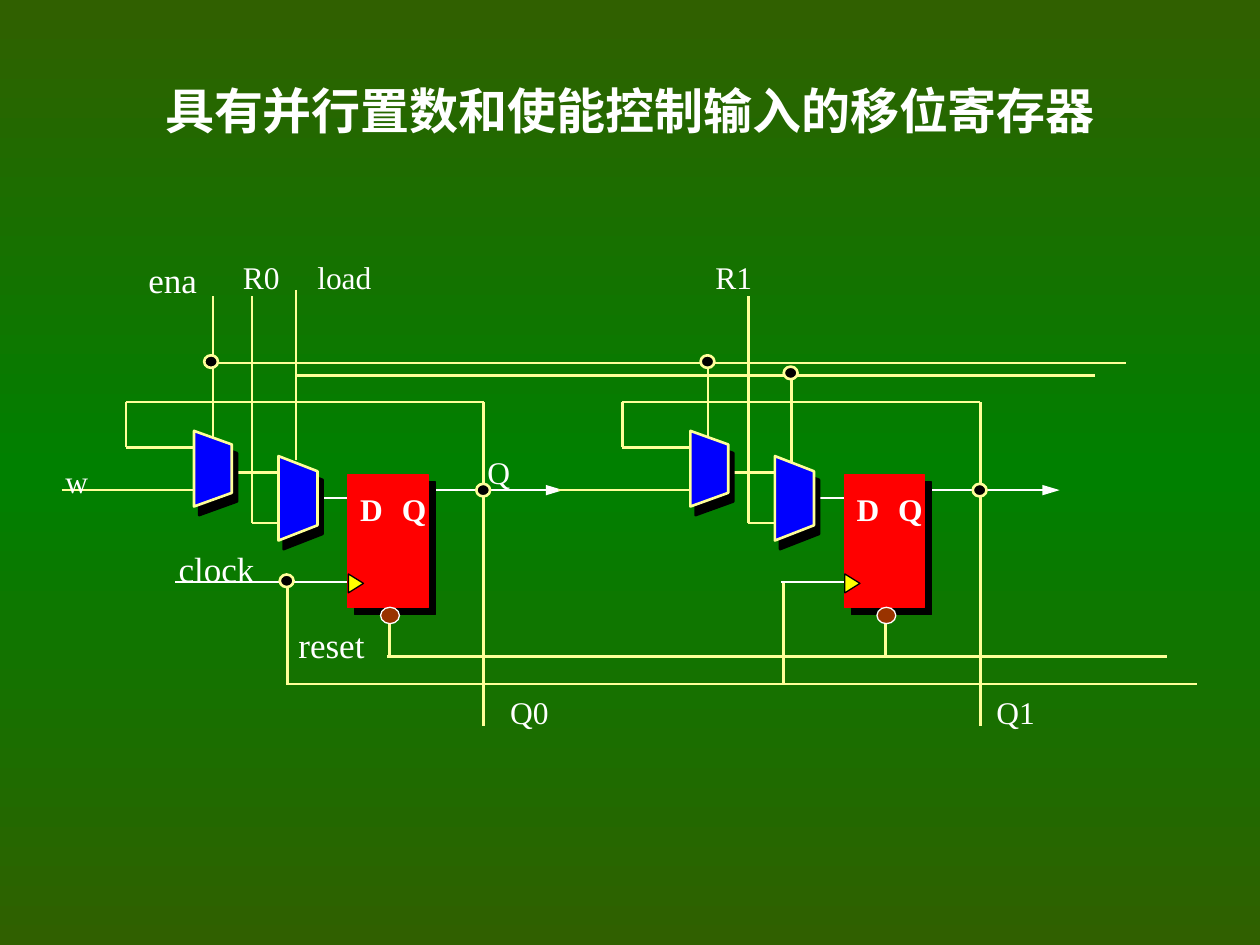
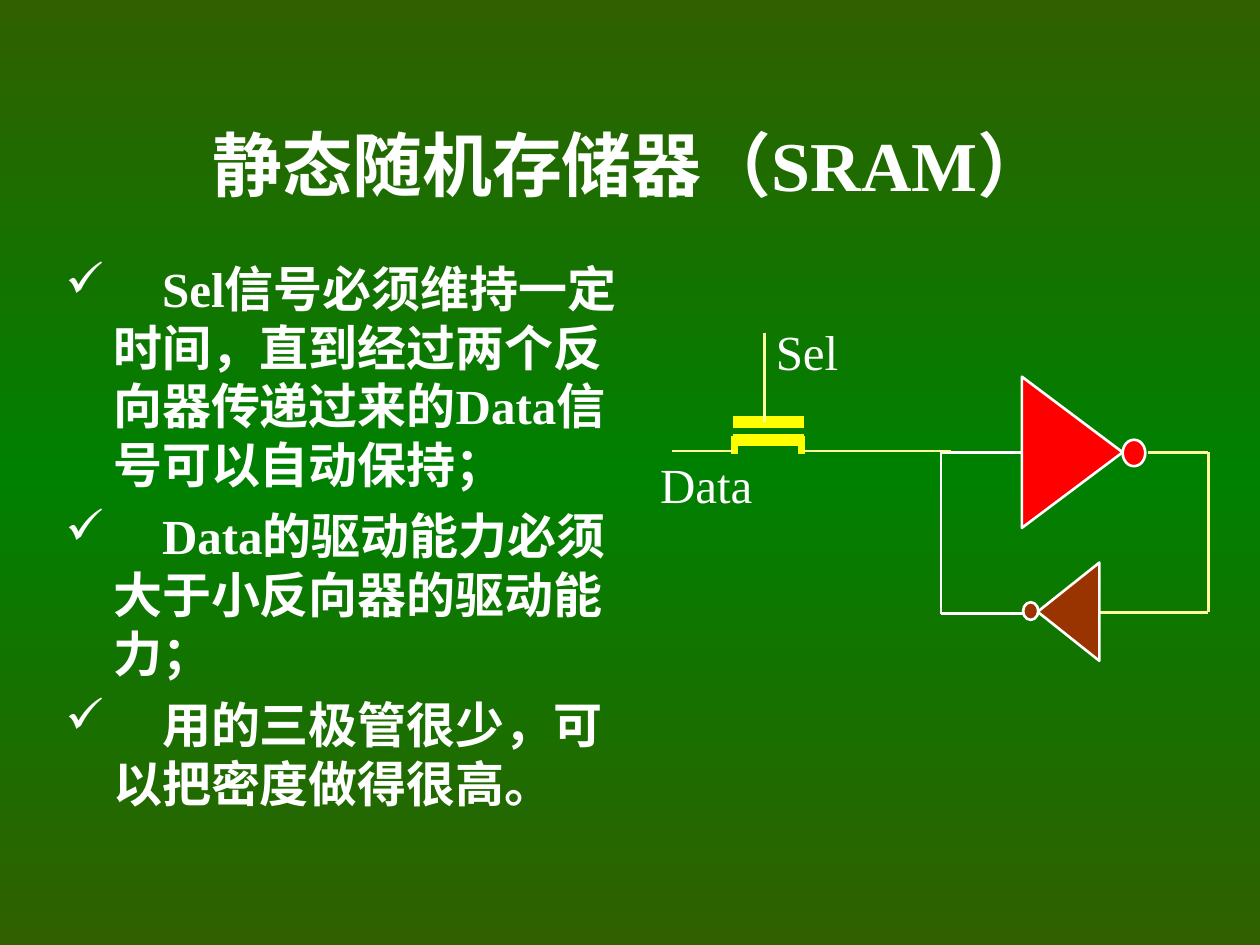
"""Build two slides on shift registers and static memory."""
from copy import deepcopy
from itertools import pairwise
from typing import NamedTuple, Optional

from lxml import etree
from pptx import Presentation
from pptx.dml.color import RGBColor
from pptx.enum.shapes import MSO_CONNECTOR, MSO_SHAPE
from pptx.enum.text import MSO_ANCHOR, PP_ALIGN
from pptx.oxml.ns import qn
from pptx.util import Emu, Inches, Pt

STRAIGHT = MSO_CONNECTOR.STRAIGHT
RECT, OVAL, TRIANGLE = MSO_SHAPE.RECTANGLE, MSO_SHAPE.OVAL, MSO_SHAPE.ISOSCELES_TRIANGLE
LEFT, CENTER = PP_ALIGN.LEFT, PP_ALIGN.CENTER
MIDDLE = MSO_ANCHOR.MIDDLE

OLIVE = RGBColor(0x30, 0x60, 0x00)
GREEN = RGBColor(0x00, 0x80, 0x00)
WHITE = RGBColor(0xFF, 0xFF, 0xFF)
BLACK = RGBColor(0x00, 0x00, 0x00)
RED = RGBColor(0xFF, 0x00, 0x00)
BLUE = RGBColor(0x00, 0x00, 0xFF)
BROWN = RGBColor(0x99, 0x33, 0x00)
YELLOW = RGBColor(0xFF, 0xFF, 0x00)
CREAM = RGBColor(0xFF, 0xFF, 0x99)

FONT = "Times New Roman"
COLS, ROWS = 100, 75
CELL = Inches(0.1)
STAGE_PITCH = 39.4
DOT_W, DOT_H = 1.1, 1


class Label(NamedTuple):
    text: str
    col: float
    row: float
    cols: float = 7
    rows: float = 4
    size: float = 18
    bold: bool = False
    align: PP_ALIGN = LEFT
    shadow: bool = False


class Wire(NamedTuple):
    points: tuple
    color: RGBColor = CREAM
    weight: float = 1.5
    arrow: bool = False


class Box(NamedTuple):
    kind: MSO_SHAPE
    col: float
    row: float
    cols: float
    rows: float
    fill: RGBColor
    line: RGBColor
    weight: float = 1.5
    rotation: float = 0
    shadow_angle: Optional[float] = None


class Mux(NamedTuple):
    col: float
    row: float
    cols: float
    rows: float


BUSES = [
    Wire(((16.9, 23.5), (16.9, 34.7))),
    Wire(((16.9, 28.8), (89.4, 28.8))),
    Wire(((56.2, 28.8), (56.2, 35))),
    Wire(((23.5, 23), (23.5, 36.5))),
    Wire(((23.5, 29.8), (86.9, 29.8))),
    Wire(((62.8, 29.8), (62.8, 37.3))),
    Wire(((30.7, 52.1), (92.6, 52.1))),
    Wire(((22.7, 54.3), (95, 54.3))),
    Wire(((13.9, 46.2), (22.6, 46.2)), WHITE, 1.25),
]
STAGE_WIRES = [
    Wire(((18.4, 37.5), (22.1, 37.5))),
    Wire(((20, 23.5), (20, 41.5), (22.2, 41.5))),
    Wire(((38.4, 57.6), (38.4, 31.9), (10, 31.9), (10, 35.5), (15.4, 35.5))),
    Wire(((4.9, 38.9), (15.4, 38.9))),
    Wire(((30.9, 49.5), (30.9, 52.2))),
    Wire(((22.8, 46.3), (22.8, 54.3))),
    Wire(((25.2, 39.5), (27.7, 39.5)), WHITE, 1.25),
    Wire(((22.6, 46.2), (27.7, 46.2)), WHITE, 1.25),
    Wire(((34.3, 38.9), (44.7, 38.9)), WHITE, 1.25, True),
]
STAGE_MUXES = [Mux(15.4, 34.2, 3, 6), Mux(22.1, 36.2, 3.1, 6.7)]
STAGE_BOXES = [
    Box(RECT, 27.6, 37.7, 6.4, 10.5, RED, RED, 0.75, shadow_angle=45),
    Box(TRIANGLE, 27.5, 45.7, 1.5, 1.2, YELLOW, BLACK, 0.75, 90),
    Box(OVAL, 30.2, 48.2, 1.5, 1.3, BROWN, WHITE, 0.75),
]
STAGE_LABELS = [
    Label("D", 27.6, 38.4, 3.9, bold=True),
    Label("Q", 30.9, 38.4, 3.9, bold=True),
]
STAGE_DOTS = [(37.8, 38.4), (16.2, 28.2)]
SINGLE_DOTS = [(22.2, 45.6), (62.2, 29.1)]
SIGNAL_LABELS = [
    Label("ena", 10.8, 20, size=20),
    Label("R0", 18.3, 20),
    Label("load", 24.2, 20),
    Label("R1", 55.8, 20),
    Label("w", 4.2, 36.2),
    Label("Q", 37.7, 35.5),
    Label("clock", 13.2, 43, 9, size=20),
    Label("reset", 22.7, 49, 9, size=20),
    Label("Q0", 39.5, 54.5),
    Label("Q1", 78.1, 54.5),
]

CELL_WIRES = [
    Wire(((81, 35.9), (74.7, 35.9), (74.7, 48.7), (81.3, 48.7)), WHITE),
    Wire(((91.1, 35.9), (95.9, 35.9), (95.9, 48.6), (87.3, 48.6))),
    *[Wire(((58.2, row), (63.8, row)), YELLOW, 6.75) for row in (33.5, 34.9)],
    *[Wire(((col, 34.6), (col, 36)), YELLOW, 4) for col in (58.3, 63.6)],
    Wire(((63.8, 35.8), (75.5, 35.8))),
    Wire(((53.3, 35.8), (58.2, 35.8))),
    Wire(((60.7, 26.4), (60.7, 33.5))),
]
INVERTERS = [
    Box(TRIANGLE, 79.1, 31.9, 12, 8, RED, WHITE, rotation=90),
    Box(TRIANGLE, 80.9, 46.1, 7.8, 4.9, BROWN, WHITE, rotation=270),
    Box(OVAL, 89.1, 34.9, 1.8, 2.1, RED, WHITE),
    Box(OVAL, 81.2, 47.8, 1.2, 1.4, BROWN, WHITE),
]
CELL_LABELS = [
    Label("Sel", 58.8, 25, 10.5, 5.7, 28, align=CENTER, shadow=True),
    Label("Data", 50.8, 35.6, 10.5, 5.7, 28, align=CENTER, shadow=True),
]
SRAM_POINTS = [
    "Sel信号必须维持一定时间，直到经过两个反向器传递过来的Data信号可以自动保持；",
    "Data的驱动能力必须大于小反向器的驱动能力；",
    "用的三极管很少，可以把密度做得很高。",
]


def cells(*values: float) -> list[Emu]:
    """Turn grid cells into slide lengths."""
    return [Emu(round(value * CELL)) for value in values]


def add_shadow(effects, distance: float, angle: float) -> None:
    """Put a hard black shadow in an effect list."""
    shadow = etree.SubElement(effects, qn("a:outerShdw"), blurRad="0",
                              dist=str(Pt(distance)), dir=str(round(angle * 60000)),
                              algn="ctr", rotWithShape="0")
    etree.SubElement(shadow, qn("a:srgbClr"), val=str(BLACK))


def write_text(p, text: str, size: float, bold: bool, shadow: bool) -> None:
    """Write one white run into a paragraph."""
    r = p.add_run()
    r.text = text
    for name, value in {"name": FONT, "size": Pt(size), "bold": bold}.items():
        setattr(r.font, name, value)
    r.font.color.rgb = WHITE
    if shadow:
        rPr = r.font._element
        effects = etree.SubElement(rPr, qn("a:effectLst"))
        rPr.find(qn("a:solidFill")).addnext(effects)
        add_shadow(effects, size / 14, 45)


def style_shape(sp, fill: RGBColor, line: RGBColor, weight: float,
                shadow_angle: Optional[float]) -> None:
    """Set a shape's fill, outline and shadow."""
    sp.fill.solid()
    sp.fill.fore_color.rgb = fill
    sp.line.color.rgb = line
    sp.line.width = Pt(weight)
    sp.shadow.inherit = False
    if shadow_angle is not None:
        add_shadow(sp._element.spPr.find(qn("a:effectLst")), 5.75, shadow_angle)


def draw_box(s, box: Box, shift: float = 0) -> None:
    """Draw a preset shape."""
    sp = s.shapes.add_shape(box.kind, *cells(box.col + shift, box.row, box.cols, box.rows))
    sp.rotation = box.rotation
    style_shape(sp, box.fill, box.line, box.weight, box.shadow_angle)


def draw_dot(s, col: float, row: float) -> None:
    """Draw a wire junction."""
    draw_box(s, Box(OVAL, col, row, DOT_W, DOT_H, BLACK, CREAM))


def draw_mux(s, mux: Mux, shift: float) -> None:
    """Draw a multiplexer as a trapezium."""
    corners = [(0, 0), (1, 0.18), (1, 0.82), (0, 1)]
    start, *rest = [cells(mux.col + shift + x * mux.cols, mux.row + y * mux.rows)
                    for x, y in corners]
    builder = s.shapes.build_freeform(*start)
    builder.add_line_segments(rest)
    style_shape(builder.convert_to_shape(), BLUE, CREAM, 1.5, 59)


def draw_wire(s, wire: Wire, shift: float = 0) -> None:
    """Draw a wire through its points."""
    points = [cells(x + shift, y) for x, y in wire.points]
    for start, end in pairwise(points):
        line = s.shapes.add_connector(STRAIGHT, *start, *end)
        line.line.color.rgb = wire.color
        line.line.width = Pt(wire.weight)
        etree.SubElement(line._element.spPr, qn("a:effectLst"))
        if wire.arrow:
            etree.SubElement(line.line._get_or_add_ln(), qn("a:tailEnd"), type="triangle",
                             w="med", len="lg")


def draw_label(s, label: Label, shift: float = 0) -> None:
    """Draw a text label."""
    tf = s.shapes.add_textbox(
        *cells(label.col + shift, label.row, label.cols, label.rows)).text_frame
    tf.word_wrap = True
    p = tf.paragraphs[0]
    p.alignment = label.align
    write_text(p, label.text, label.size, label.bold, label.shadow)


def draw_stage(s, shift: float) -> None:
    """Draw one register stage."""
    for wire in STAGE_WIRES:
        draw_wire(s, wire, shift)
    for mux in STAGE_MUXES:
        draw_mux(s, mux, shift)
    for box in STAGE_BOXES:
        draw_box(s, box, shift)
    for label in STAGE_LABELS:
        draw_label(s, label, shift)


def draw_points(s, points: list[str]) -> None:
    """Draw the ticked list."""
    tf = s.shapes.add_textbox(*cells(4.2, 20, 46.2, 50.8)).text_frame
    tf.word_wrap = True
    for i, text in enumerate(points):
        p = tf.add_paragraph() if i else tf.paragraphs[0]
        p.space_before = Pt(7)
        pPr = p._p.get_or_add_pPr()
        pPr.set("marL", str(Inches(0.38)))
        pPr.set("indent", str(-Inches(0.38)))
        color = etree.SubElement(pPr, qn("a:buClr"))
        etree.SubElement(color, qn("a:srgbClr"), val=str(WHITE))
        etree.SubElement(pPr, qn("a:buChar"), char="✓")
        write_text(p, "　" + text, 28, True, True)


def add_slide(prs, title: str, row: float, size: float):
    """Add a slide with a styled title."""
    s = prs.slides.add_slide(prs.slide_layouts[5])
    sp = s.shapes.title
    sp.left, sp.top, sp.width, sp.height = cells(7.5, row, 85, 12.5)
    sp.text_frame.vertical_anchor = MIDDLE
    p = sp.text_frame.paragraphs[0]
    p.alignment = CENTER
    write_text(p, title, size, True, True)
    return s


def set_background(master) -> None:
    """Give the master its olive and green gradient."""
    fill = master.background.fill
    fill.gradient()
    fill.gradient_angle = 270
    for stop, color in zip(fill.gradient_stops, (OLIVE, GREEN)):
        stop.color.rgb = color
    first, middle = master.element.find(".//" + qn("a:gsLst"))
    middle.set("pos", "50000")
    last = deepcopy(first)
    last.set("pos", "100000")
    middle.addnext(last)


def main() -> None:
    """Build and save the presentation."""
    prs = Presentation()
    prs.slide_width, prs.slide_height = cells(COLS, ROWS)
    set_background(prs.slide_master)

    s = add_slide(prs, "具有并行置数和使能控制输入的移位寄存器", 2.5, 28)
    for wire in BUSES:
        draw_wire(s, wire)
    shifts = (0, STAGE_PITCH)
    for shift in shifts:
        draw_stage(s, shift)
    for col, row in SINGLE_DOTS + [(x + d, y) for d in shifts for x, y in STAGE_DOTS]:
        draw_dot(s, col, row)
    for label in SIGNAL_LABELS:
        draw_label(s, label)

    s = add_slide(prs, "静态随机存储器（SRAM）", 6.7, 40)
    draw_points(s, SRAM_POINTS)
    for wire in CELL_WIRES:
        draw_wire(s, wire)
    for box in INVERTERS:
        draw_box(s, box)
    for label in CELL_LABELS:
        draw_label(s, label)

    prs.save("out.pptx")


if __name__ == "__main__":
    main()
